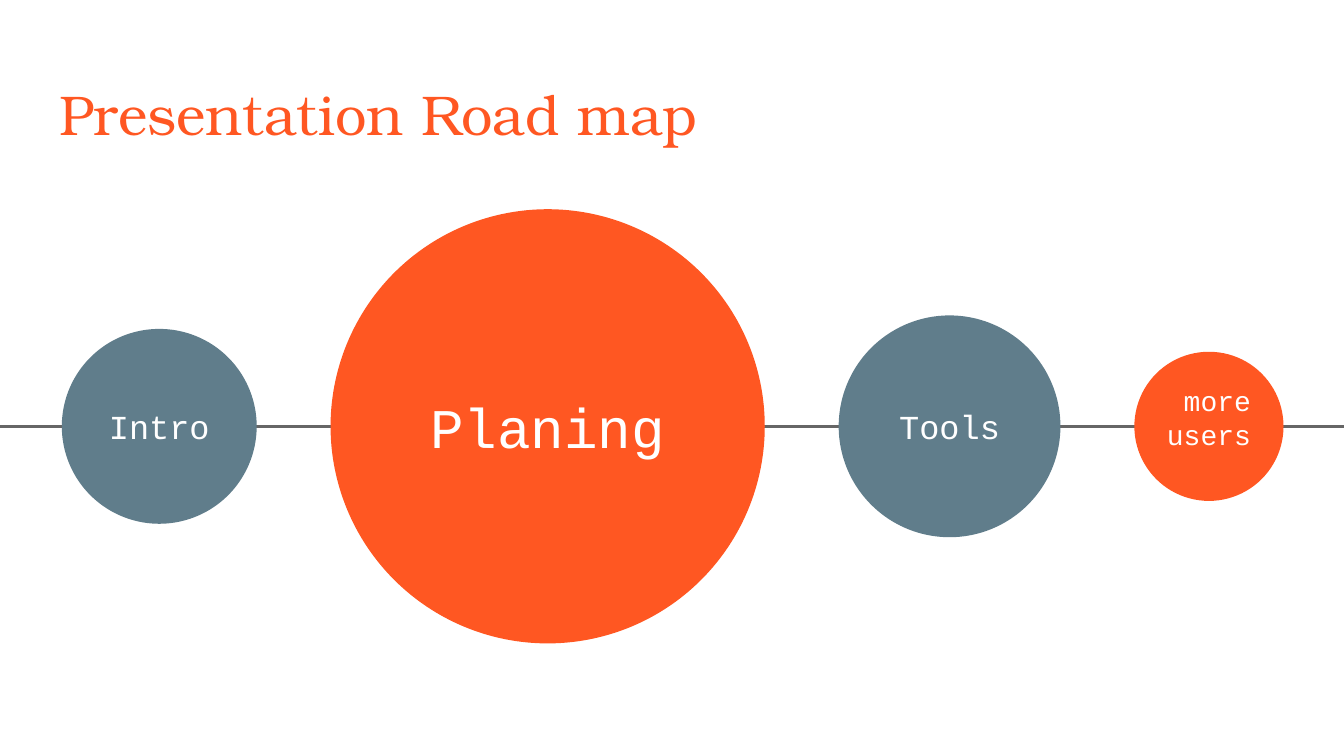
"""Build a road map slide: four circles of different sizes strung along a line."""
from pptx import Presentation
from pptx import util as u
from pptx.dml.color import RGBColor
from pptx.enum import shapes, text
from pptx.oxml.ns import qn
from lxml import etree

COLORS = {"orange": "FF5722", "slate": "607D8B", "line": "666666", "white": "FFFFFF"}


def write(box, words, font, size, color, align, anchor):
    frame = box.text_frame
    frame.word_wrap = True
    frame.auto_size = text.MSO_AUTO_SIZE.NONE
    frame.vertical_anchor = anchor
    frame.margin_left = frame.margin_right = u.Pt(7.2)
    frame.margin_top = frame.margin_bottom = u.Pt(7.2)
    para = frame.paragraphs[0]
    para.alignment = align
    span = para.add_run()
    span.text = words
    span.font.name = font
    span.font.size = u.Pt(size)
    span.font.color.rgb = RGBColor.from_string(COLORS[color])


deck = Presentation()
deck.slide_width, deck.slide_height = u.Pt(720), u.Pt(405)
page = deck.slides.add_slide(deck.slide_layouts[5])

axis = 228.4
line = page.shapes.add_connector(
    shapes.MSO_CONNECTOR.STRAIGHT, u.Pt(-0.5), u.Pt(axis), u.Pt(720), u.Pt(axis))
line.line.color.rgb = RGBColor.from_string(COLORS["line"])
line.line.width = u.Pt(1.5)
etree.SubElement(line._element.spPr, qn("a:effectLst"))

title = page.shapes.title
title.left, title.top, title.width, title.height = u.Pt(24.5), u.Pt(35.3), u.Pt(671), u.Pt(45.4)
write(title, "Presentation Road map", font="TeX Gyre Bonum", size=30, color="orange",
      align=text.PP_ALIGN.LEFT, anchor=text.MSO_ANCHOR.TOP)

stops = [
    ("Intro", 104.4, "slate", 18, (104.4, 47.5), 228.2),
    ("Planing", 232.6, "orange", 30, (232.6, 47.5), 228.2),
    ("Tools", 118.8, "slate", 18, (118.8, 47.5), 228.2),
    (" more users", 79.9, "orange", 15, (64.1, 56.9), 223.6),
]
gap = 39.6
left = 33.1
for words, diameter, color, size, (width, height), middle in stops:
    circle = page.shapes.add_shape(
        shapes.MSO_SHAPE.OVAL, u.Pt(left), u.Pt(axis - diameter / 2), u.Pt(diameter), u.Pt(diameter))
    circle.shadow.inherit = False
    circle.fill.solid()
    circle.fill.fore_color.rgb = RGBColor.from_string(COLORS[color])
    circle.line.fill.background()
    label = page.shapes.add_textbox(
        u.Pt(left + (diameter - width) / 2), u.Pt(middle - height / 2), u.Pt(width), u.Pt(height))
    write(label, words, font="Courier New", size=size, color="white",
          align=text.PP_ALIGN.CENTER, anchor=text.MSO_ANCHOR.MIDDLE)
    left += diameter + gap

deck.save("out.pptx")
